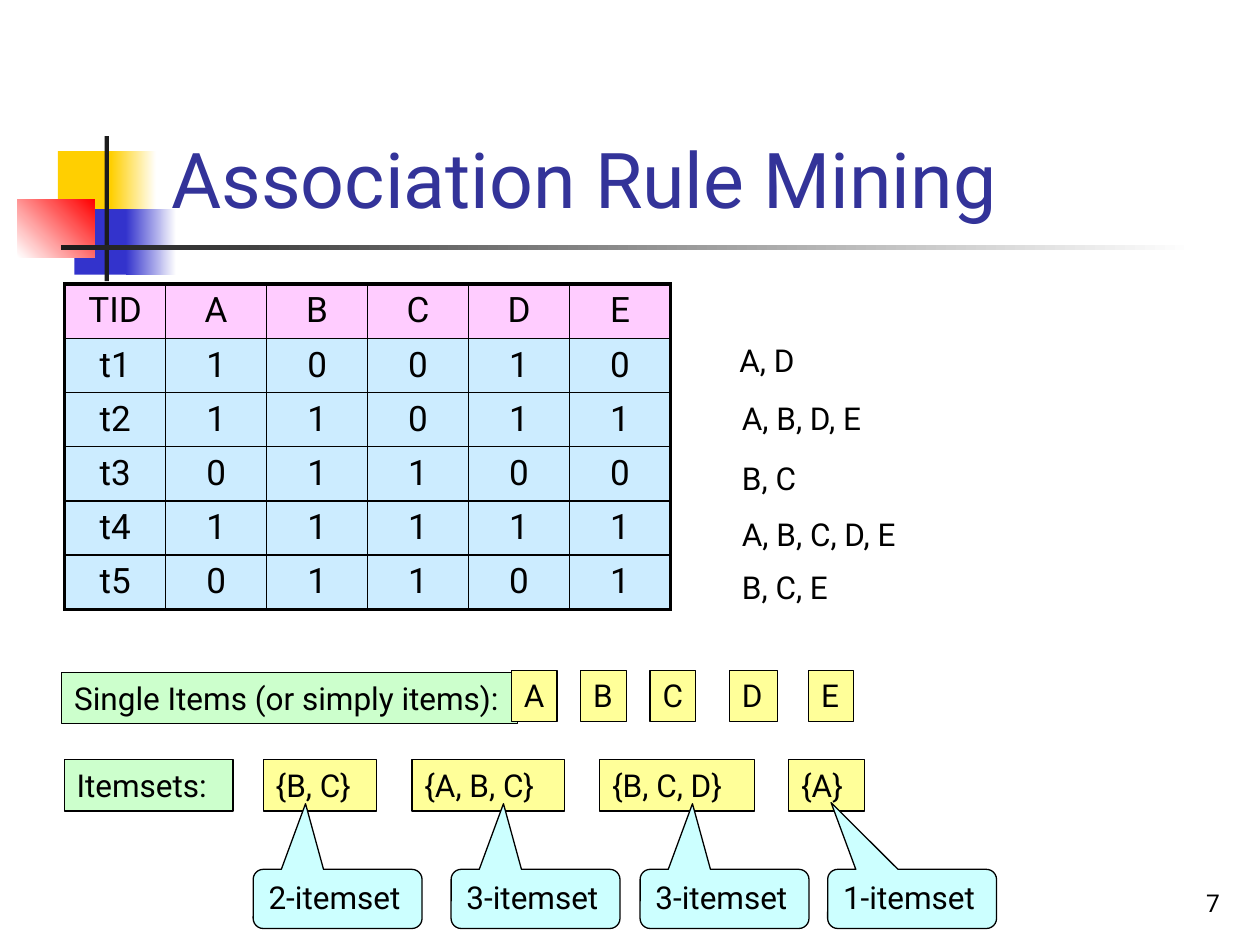
"""Build the Association Rule Mining slide."""
from dataclasses import dataclass

import lxml.etree
import pptx
import pptx.dml.color
import pptx.enum.shapes
import pptx.enum.text
import pptx.oxml.ns
import pptx.util

Pt = pptx.util.Pt
SHAPE = pptx.enum.shapes.MSO_SHAPE
ALIGN = pptx.enum.text.PP_ALIGN
ANCHOR = pptx.enum.text.MSO_ANCHOR
FIT = pptx.enum.text.MSO_AUTO_SIZE


@dataclass(frozen=True)
class Theme:
    font: str = "Roboto"
    title_size: float = 44
    table_size: float = 20
    body_size: float = 18
    number_size: float = 14
    ink: str = "000000"
    title: str = "333399"
    bar: str = "1C1C1C"
    white: str = "FFFFFF"
    gold: str = "FFCF01"
    blue: str = "3333CC"
    red: str = "FF0000"
    header: str = "FFCCFF"
    body: str = "CCECFF"
    label: str = "CCFFCC"
    item: str = "FFFF99"
    callout: str = "CCFFFF"
    thin: float = 0.75
    inner: float = 1
    outer: float = 2.25


THEME = Theme()
ITEMS = "ABCDE"
TRANSACTIONS = ["10010", "11011", "01100", "11111", "01101"]


def rgb(color):
    return pptx.dml.color.RGBColor.from_string(color)


def write(frame, text, size=THEME.body_size, color=THEME.ink, align=ALIGN.LEFT,
          anchor=ANCHOR.TOP, wrap=True, fit=FIT.NONE):
    frame.word_wrap = wrap
    frame.auto_size = fit
    frame.vertical_anchor = anchor
    paragraph = frame.paragraphs[0]
    paragraph.alignment = align
    run = paragraph.add_run()
    run.text = text
    run.font.name = THEME.font
    run.font.size = Pt(size)
    run.font.color.rgb = rgb(color)


def place(slide, kind, box, fill, outlined=False):
    shape = slide.shapes.add_shape(kind, *map(Pt, box))
    shape.shadow.inherit = False
    shape.fill.solid()
    shape.fill.fore_color.rgb = rgb(fill)
    if outlined:
        shape.line.color.rgb = rgb(THEME.ink)
        shape.line.width = Pt(THEME.thin)
    else:
        shape.line.fill.background()
    return shape


def fade(slide, box, start, end, angle=0):
    band = place(slide, SHAPE.RECTANGLE, box, start)
    band.fill.gradient()
    band.fill.gradient_angle = angle
    for stop, color in zip(band.fill.gradient_stops, (start, end)):
        stop.color.rgb = rgb(color)


def tag(slide, text, left, top, width, fill):
    box = place(slide, SHAPE.RECTANGLE, (left, top, width, 29.2), fill, outlined=True)
    write(box.text_frame, text, wrap=False, fit=FIT.SHAPE_TO_FIT_TEXT)


def note(slide, text, box, **style):
    write(slide.shapes.add_textbox(*map(Pt, box)).text_frame, text, **style)


def callout(slide, text, left, tip):
    bubble = place(slide, SHAPE.ROUNDED_RECTANGULAR_CALLOUT, (left, 496.8, 96.5, 33.8),
                   THEME.callout, outlined=True)
    for index, value in enumerate((*tip, 0.17)):
        bubble.adjustments[index] = value
    write(bubble.text_frame, text)


def border(cell, side, width):
    qn = pptx.oxml.ns.qn
    properties = cell._tc.get_or_add_tcPr()
    edge = lxml.etree.SubElement(properties, qn(f"a:ln{side}"), w=str(Pt(width)))
    fill = lxml.etree.SubElement(edge, qn("a:solidFill"))
    lxml.etree.SubElement(fill, qn("a:srgbClr"), val=THEME.ink)


def ornament(slide):
    place(slide, SHAPE.RECTANGLE, (33.1, 86.4, 34.6, 37.4), THEME.gold)
    fade(slide, (63.4, 86.4, 25.9, 37.4), THEME.gold, THEME.white)
    place(slide, SHAPE.RECTANGLE, (42.5, 119.5, 33.1, 37.4), THEME.blue)
    fade(slide, (72, 119.5, 28.8, 37.4), THEME.blue, THEME.white)
    fade(slide, (10.1, 113.8, 43.9, 33.1), THEME.white, THEME.red, angle=45)
    place(slide, SHAPE.RECTANGLE, (59.8, 77.8, 2.4, 82.8), THEME.bar)
    fade(slide, (34.6, 140.2, 648, 2.4), THEME.bar, THEME.white)


def heading(slide):
    title = slide.shapes.title
    title.left, title.top, title.width, title.height = map(Pt, (90.7, 16.6, 613.4, 115.2))
    write(title.text_frame, "Association Rule Mining", size=THEME.title_size,
          color=THEME.title, anchor=ANCHOR.BOTTOM)
    title.element.getparent().append(title.element)


def transaction_table(slide):
    rows = [["TID", *ITEMS]]
    rows += [[f"t{number}", *flags] for number, flags in enumerate(TRANSACTIONS, 1)]
    last_row, last_column = len(rows) - 1, len(rows[0]) - 1
    table = slide.shapes.add_table(len(rows), len(rows[0]), Pt(37), Pt(162.3),
                                   Pt(346.2), Pt(187.2)).table
    table.first_row = table.horz_banding = False
    for column in table.columns:
        column.width = Pt(57.7)
    for r, values in enumerate(rows):
        table.rows[r].height = Pt(31)
        for c, value in enumerate(values):
            cell = table.cell(r, c)
            outside = {"L": c == 0, "R": c == last_column, "T": r == 0, "B": r == last_row}
            for side, is_outer in outside.items():
                border(cell, side, THEME.outer if is_outer else THEME.inner)
            cell.fill.solid()
            cell.fill.fore_color.rgb = rgb(THEME.body if r else THEME.header)
            write(cell.text_frame, value, size=THEME.table_size, align=ALIGN.CENTER)


def transaction_sets(slide):
    places = [(415.4, 191.5, 49), (416.9, 224.6, 91.4), (416.9, 258.5, 46.8),
              (416.9, 290.9, 113.8), (416.9, 321.1, 68.4)]
    for flags, (left, top, width) in zip(TRANSACTIONS, places):
        members = ", ".join(item for item, flag in zip(ITEMS, flags) if flag == "1")
        note(slide, members, (left, top, width, 28.8), wrap=False,
             fit=FIT.SHAPE_TO_FIT_TEXT)


def single_items(slide):
    tag(slide, "Single Items (or simply items):", 35.3, 384.5, 260.6, THEME.label)
    spans = [(292.3, 26), (331.9, 26), (371.5, 26), (416.9, 27.4), (462.2, 25.4)]
    for item, (left, width) in zip(ITEMS, spans):
        tag(slide, item, left, 383, width, THEME.item)


def itemsets(slide):
    top = 434.2
    tag(slide, "Itemsets: ", 36.7, top, 96.5, THEME.label)
    sets = [("B, C", 150.5, 64.8, 144.7), ("A, B, C", 235.4, 87.1, 257.8),
            ("B, C, D", 342.7, 88.6, 365.8), ("A", 450.7, 43.2, 473)]
    for members, left, width, _ in sets:
        tag(slide, f"{{{members}}}", left, top, width, THEME.item)
    for members, _, _, left in sets:
        count = len(members.split(", "))
        tip = (-0.48, -1.63) if count == 1 else (-0.19, -1.61)
        callout(slide, f"{count}-itemset", left, tip)


def main():
    deck = pptx.Presentation()
    deck.slide_width, deck.slide_height = Pt(720), Pt(540)
    slide = deck.slides.add_slide(deck.slide_layouts[5])
    ornament(slide)
    note(slide, "7", (554.4, 491.8, 149.8, 36), size=THEME.number_size,
         align=ALIGN.RIGHT, anchor=ANCHOR.BOTTOM)
    heading(slide)
    transaction_table(slide)
    transaction_sets(slide)
    single_items(slide)
    itemsets(slide)
    deck.save("out.pptx")


main()
